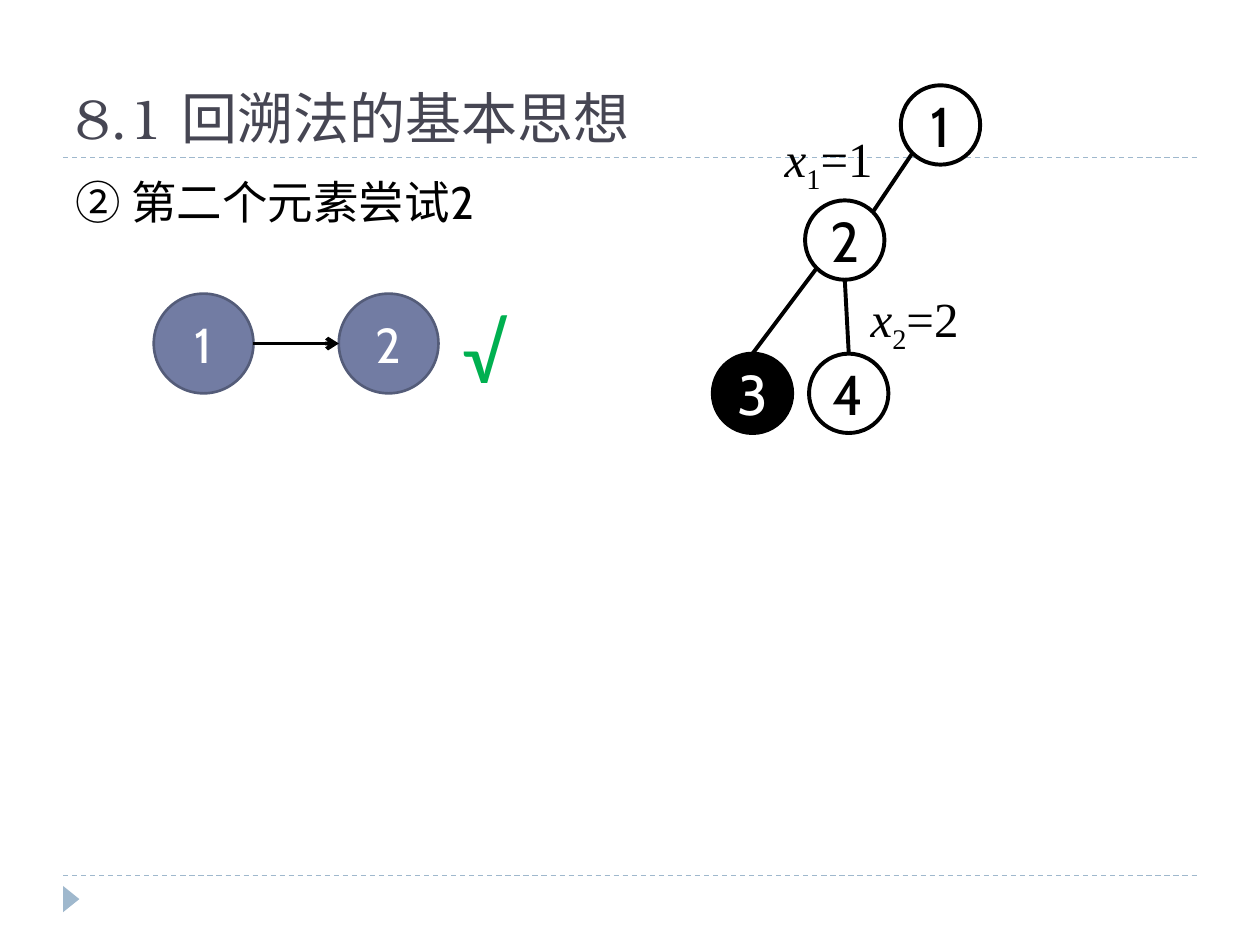
"""Build the slide on the second backtracking step, with its path and search tree."""
from math import cos, radians, sin
from typing import NamedTuple

from pptx import Presentation
from pptx.dml.color import RGBColor
from pptx.enum.dml import MSO_LINE
from pptx.enum.shapes import MSO_CONNECTOR, MSO_SHAPE
from pptx.enum.text import MSO_ANCHOR as Anchor, MSO_AUTO_SIZE as AutoSize, PP_ALIGN as Align
from pptx.oxml.ns import qn
from pptx.util import Cm, Pt

BLACK, WHITE, PALE_BLUE = "000000", "FFFFFF", "9FB8CD"
TREE_SIZE, PATH_SIZE = 1.6, 2.01


class Node(NamedTuple):
    """A numbered circle, placed in centimetres."""
    label: str
    left: float
    top: float
    diameter: float
    fill: str
    outline: str
    color: str
    size: int
    weight: float

    def rim(self, degrees):
        """Return the point on the rim, clockwise from the right."""
        radius, angle = self.diameter / 2, radians(degrees)
        return self.left + radius * (1 + cos(angle)), self.top + radius * (1 + sin(angle))


class Choice(NamedTuple):
    """The value given to one variable of the solution."""
    index: str
    value: str
    left: float
    top: float


def hex_color(value: str) -> RGBColor:
    """Turn a hex string into a colour."""
    return RGBColor.from_string(value)


def write(paragraph, text: str, *, size, font, color, italic=False, baseline=0):
    """Add a formatted run to a paragraph."""
    run = paragraph.add_run()
    run.text = text
    run.font.size, run.font.name, run.font.italic = Pt(size), font, italic
    run.font.color.rgb = hex_color(color)
    if baseline:
        run.font._element.set("baseline", str(baseline))


def place(shape, left: float, top: float, width: float, height: float):
    """Move and size a shape in centimetres."""
    shape.left, shape.top, shape.width, shape.height = map(Cm, (left, top, width, height))


def draw_node(slide, node: Node):
    """Draw a circle with its number."""
    circle = slide.shapes.add_shape(
        MSO_SHAPE.OVAL, Cm(node.left), Cm(node.top), Cm(node.diameter), Cm(node.diameter))
    circle.shadow.inherit = False
    circle.fill.solid()
    circle.fill.fore_color.rgb = hex_color(node.fill)
    circle.line.color.rgb = hex_color(node.outline)
    circle.line.width = Pt(node.weight)
    frame = circle.text_frame
    frame.vertical_anchor = Anchor.MIDDLE
    frame.word_wrap = False
    frame.paragraphs[0].alignment = Align.CENTER
    write(frame.paragraphs[0], node.label, size=node.size, font="Cabin", color=node.color)


def draw_line(slide, start, end, *, color=BLACK, weight=2.25, dashed=False, arrow=False):
    """Draw a straight line between two points."""
    line = slide.shapes.add_connector(MSO_CONNECTOR.STRAIGHT, *map(Cm, (*start, *end)))
    line.line.color.rgb = hex_color(color)
    line.line.width = Pt(weight)
    if dashed:
        line.line.dash_style = MSO_LINE.DASH
    properties = line._element.spPr
    if arrow:
        outline = properties.find(qn("a:ln"))
        outline.append(outline.makeelement(qn("a:tailEnd"), {"type": "arrow"}))
    properties.append(properties.makeelement(qn("a:effectLst"), {}))


def add_label(slide, left: float, top: float, width: float, height: float):
    """Add an unwrapped text box and return its paragraph."""
    box = slide.shapes.add_textbox(*map(Cm, (left, top, width, height)))
    box.text_frame.word_wrap = False
    box.text_frame.auto_size = AutoSize.SHAPE_TO_FIT_TEXT
    return box.text_frame.paragraphs[0]


def draw_choice(slide, choice: Choice):
    """Write a variable with its subscript and value."""
    paragraph = add_label(slide, choice.left, choice.top, 2.41, 1.45)
    style = dict(size=28, font="Times New Roman", color=BLACK)
    write(paragraph, "x", italic=True, **style)
    write(paragraph, choice.index, baseline=-25000, **style)
    write(paragraph, f"={choice.value}", **style)


def draw_frame(slide):
    """Draw the two dashed rules and the corner triangle."""
    for height in (3.18, 17.65):
        draw_line(slide, (1.27, height), (24.13, height),
                  color=PALE_BLUE, weight=0.75, dashed=True)
    marker = slide.shapes.add_shape(
        MSO_SHAPE.ISOSCELES_TRIANGLE, Cm(1.17), Cm(17.96), Cm(0.53), Cm(0.33))
    marker.rotation = 90
    marker.shadow.inherit = False
    marker.fill.solid()
    marker.fill.fore_color.rgb = hex_color(PALE_BLUE)
    marker.line.fill.background()


def fill_placeholders(slide):
    """Write the title and the step in their placeholders."""
    title, step = slide.placeholders
    place(title, 1.27, 0.43, 22.86, 2.74)
    place(step, 1.27, 3.38, 22.86, 13.72)
    for holder, anchor in ((title, Anchor.BOTTOM), (step, Anchor.TOP)):
        frame = holder.text_frame
        frame.auto_size = AutoSize.NONE
        frame.vertical_anchor = anchor
        frame.paragraphs[0].alignment = Align.LEFT
        frame.paragraphs[0].space_before = Pt(0)
    heading, step_line = title.text_frame.paragraphs[0], step.text_frame.paragraphs[0]
    properties = step_line._p.get_or_add_pPr()
    properties.set("marL", "0")
    properties.set("indent", "0")
    properties.append(properties.makeelement(qn("a:buNone"), {}))
    write(heading, "8.1 回溯法的基本思想", size=32, font="TeX Gyre Bonum", color="464653")
    write(step_line, "② 第二个元素尝试2", size=26, font="Cabin", color=BLACK)


def draw_path(slide):
    """Draw the accepted path and its check mark."""
    first, second = [
        Node(label, left, 5.92, PATH_SIZE, "727CA3", "545C79", WHITE, 28, 1.5)
        for label, left in (("1", 3.1), ("2", 6.83))]
    draw_node(slide, first)
    draw_node(slide, second)
    draw_line(slide, first.rim(0), second.rim(180), arrow=True)
    check = add_label(slide, 9.07, 5.92, 1.37, 2.31)
    write(check, "√", size=48, font="Calibri", color="00B050")


def draw_tree(slide):
    """Draw the search tree with its choices."""
    root, child, rejected, accepted = [
        Node(label, left, top, TREE_SIZE, fill, BLACK, color, 32, 2.25)
        for label, left, top, fill, color in (
            ("1", 18.16, 1.72, WHITE, BLACK),
            ("2", 16.23, 4.04, WHITE, BLACK),
            ("3", 14.37, 7.13, BLACK, WHITE),
            ("4", 16.31, 7.13, WHITE, BLACK))]
    for node in (root, child, rejected, accepted):
        draw_node(slide, node)
    for parent, leaving, branch, entering in (
            (root, 135, child, 315),
            (child, 135, rejected, 270),
            (child, 90, accepted, 270)):
        draw_line(slide, parent.rim(leaving), branch.rim(entering))
    for choice in (Choice("1", "1", 15.57, 2.46), Choice("2", "2", 17.3, 5.69)):
        draw_choice(slide, choice)


def main():
    """Build and save the slide."""
    deck = Presentation()
    deck.slide_width, deck.slide_height = Cm(25.4), Cm(19.05)
    slide = deck.slides.add_slide(deck.slide_layouts[1])
    draw_frame(slide)
    fill_placeholders(slide)
    draw_path(slide)
    draw_tree(slide)
    deck.save("out.pptx")


if __name__ == "__main__":
    main()
